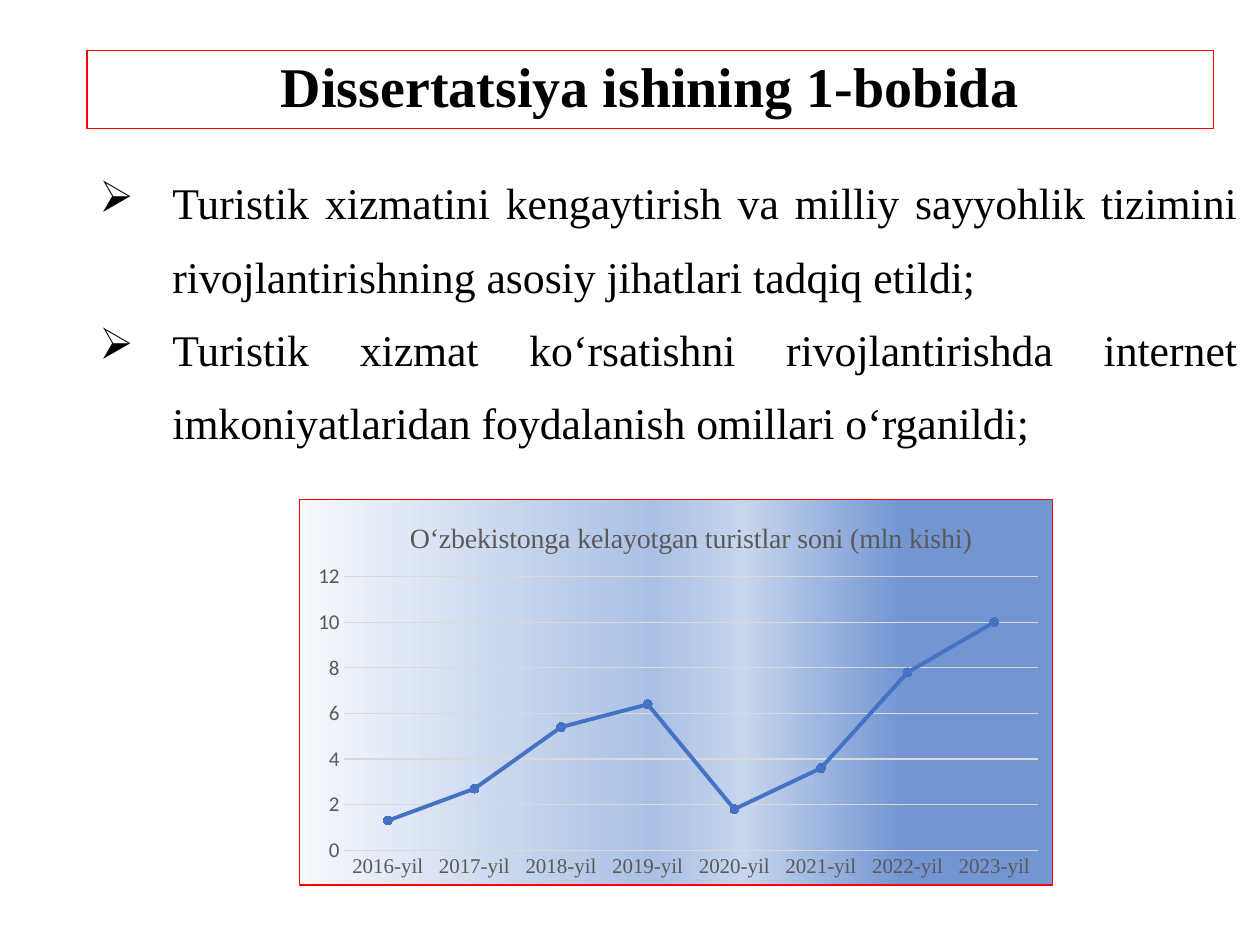
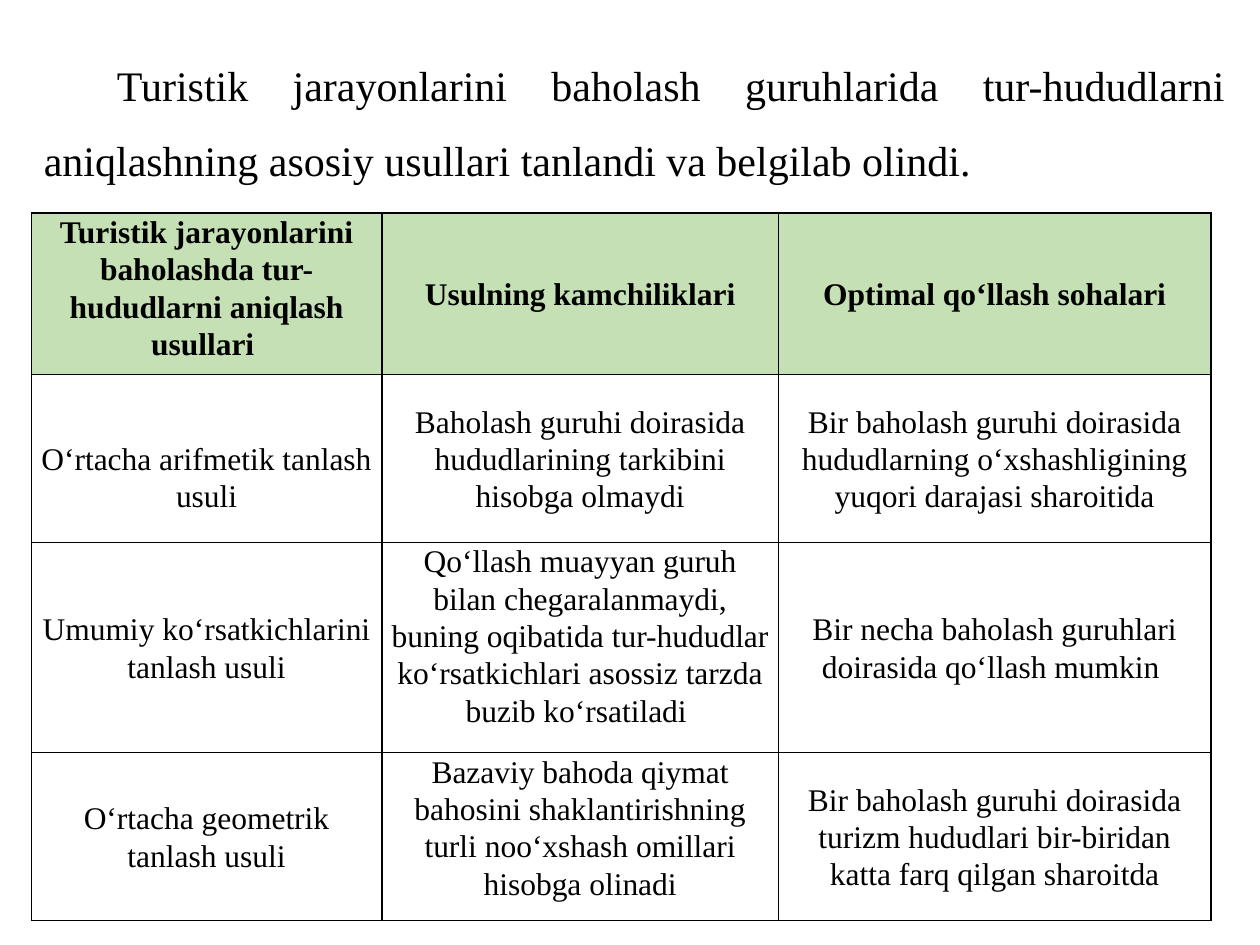
from dataclasses import dataclass

import pptx
import pptx.chart.data
import pptx.dml.color
import pptx.enum.chart
import pptx.enum.text
import pptx.oxml
import pptx.oxml.ns
import pptx.util
from pptx.util import Inches, Pt

SERIF, SANS = "Times New Roman", "Calibri"
COLORS = {
    "text": "000000", "frame": "FF0000", "header": "C5E0B4",
    "axis_text": "595959", "grid": "D9D9D9", "series": "4472C4",
}
CHART_GRADIENT = [(0, "F6F8FC"), (47, "ABC0E4"), (59, "C7D5ED"), (80, "7396D3"), (98, "7194D2")]
ALIGN = pptx.enum.text.PP_ALIGN
ANCHOR = pptx.enum.text.MSO_ANCHOR
NS = pptx.oxml.ns.nsdecls("a")

TITLE = "Dissertatsiya ishining 1-bobida"
FINDINGS = [
    "Turistik xizmatini kengaytirish va milliy sayyohlik tizimini rivojlantirishning "
    "asosiy jihatlari tadqiq etildi;",
    "Turistik xizmat ko‘rsatishni rivojlantirishda intеrnеt imkoniyatlaridan "
    "foydalanish omillari o‘rganildi;",
]
CHART_TITLE = "O‘zbekistonga kelayotgan turistlar soni (mln kishi)"
TOURISTS = [1.3, 2.7, 5.4, 6.4, 1.8, 3.6, 7.8, 10]
FIRST_YEAR = 2016
INTRO = ("Turistik jarayonlarini baholash guruhlarida tur-hududlarni aniqlashning asosiy "
         "usullari tanlandi va belgilab olindi.")


@dataclass
class Box:
    left: float
    top: float
    width: float
    height: float

    def emu(self) -> list[int]:
        return [Inches(v) for v in (self.left, self.top, self.width, self.height)]


@dataclass
class TextStyle:
    size: float
    align: ALIGN = ALIGN.JUSTIFY
    spacing: float = 1.0
    bold: bool = False
    before: float = 0
    margin: float = 0
    indent: float = 0
    bullet: str = ""


@dataclass
class Cell:
    text: str
    top: bool = False
    margin_top: float = 0


TITLE_STYLE = TextStyle(32, ALIGN.CENTER, 0.9, bold=True)
FINDING_STYLE = TextStyle(25, spacing=1.4, margin=0.58, indent=-0.58, bullet="➢")
INTRO_STYLE = TextStyle(24, spacing=1.5, before=10, indent=0.58)
CELL_STYLE = TextStyle(18, ALIGN.CENTER, 1.07)
HEADER_STYLE = TextStyle(18, ALIGN.CENTER, 1.07, bold=True)

COLUMN_WIDTHS = [2.78, 3.15, 3.43]
ROW_HEIGHTS = [1.25, 1.33, 1.67, 1.33]
METHODS = [
    [Cell("Turistik jarayonlarini baholashda tur-hududlarni aniqlash usullari ", top=True),
     Cell("Usulning kamchiliklari"),
     Cell("Optimal qo‘llash sohalari")],
    [Cell("O‘rtacha arifmеtik tanlash usuli", margin_top=0.3),
     Cell("Baholash guruhi doirasida hududlarining tarkibini hisobga olmaydi"),
     Cell("Bir baholash guruhi doirasida hududlarning o‘xshashligining yuqori darajasi sharoitida")],
    [Cell("Umumiy ko‘rsatkichlarini tanlash usuli"),
     Cell("Qo‘llash muayyan guruh bilan chеgaralanmaydi, buning oqibatida tur-hududlar "
          "ko‘rsatkichlari asossiz tarzda buzib ko‘rsatiladi ", top=True),
     Cell("Bir nеcha baholash guruhlari doirasida qo‘llash mumkin ")],
    [Cell("O‘rtacha gеomеtrik tanlash usuli"),
     Cell("Bazaviy bahoda qiymat bahosini shaklantirishning turli noo‘xshash omillari "
          "hisobga olinadi", top=True),
     Cell("Bir baholash guruhi doirasida turizm hududlari bir-biridan katta farq qilgan sharoitda")],
]


def rgb(name: str) -> pptx.dml.color.RGBColor:
    return pptx.dml.color.RGBColor.from_string(COLORS[name])


def set_font(font, size: float, color: str = "text", name: str = SERIF, bold: bool = False) -> None:
    font.size, font.name, font.bold = Pt(size), name, bold
    font.color.rgb = rgb(color)


def set_line(line, color: str, width: float = 0.75) -> None:
    line.color.rgb = rgb(color)
    line.width = Pt(width)


def write(tf, texts: list[str], style: TextStyle) -> None:
    tf.word_wrap = True
    for i, text in enumerate(texts):
        p = tf.add_paragraph() if i else tf.paragraphs[0]
        p.text = text
        p.alignment, p.line_spacing = style.align, style.spacing
        p.space_before = Pt(style.before)
        set_font(p.font, style.size, bold=style.bold)
        ppr = p._p.get_or_add_pPr()
        ppr.set("marL", str(Inches(style.margin)))
        ppr.set("indent", str(Inches(style.indent)))
        if style.bullet:
            bullet = pptx.oxml.parse_xml(f'<a:buChar {NS} char="{style.bullet}"/>')
            ppr.find(pptx.oxml.ns.qn("a:defRPr")).addprevious(bullet)


def add_text(slide, box: Box, texts: list[str], style: TextStyle):
    sp = slide.shapes.add_textbox(*box.emu())
    write(sp.text_frame, texts, style)
    return sp


def place(element, x: float, y: float, size: tuple[float, float] | None = None) -> None:
    """Fix a chart part at fractions of the chart area; a size marks the inner plot."""
    parts = [("xMode", "edge"), ("yMode", "edge"), ("x", x), ("y", y)]
    if size:
        parts = [("layoutTarget", "inner"), *parts, ("w", size[0]), ("h", size[1])]
    body = "".join(f'<c:{tag} val="{val}"/>' for tag, val in parts)
    layout = pptx.oxml.parse_xml(
        f'<c:layout {pptx.oxml.ns.nsdecls("c")}><c:manualLayout>{body}</c:manualLayout></c:layout>')
    for old in element.findall(pptx.oxml.ns.qn("c:layout")):
        element.remove(old)
    text = element.find(pptx.oxml.ns.qn("c:tx"))
    if text is None:
        element.insert(0, layout)
    else:
        text.addnext(layout)


def fill_chart_area(chart) -> None:
    stops = "".join(f'<a:gs pos="{pos * 1000}"><a:srgbClr val="{color}"/></a:gs>'
                    for pos, color in CHART_GRADIENT)
    area = pptx.oxml.parse_xml(
        f'<c:spPr {pptx.oxml.ns.nsdecls("c", "a")}>'
        f'<a:gradFill><a:gsLst>{stops}</a:gsLst><a:lin ang="0" scaled="1"/></a:gradFill>'
        f'<a:ln w="{Pt(0.75)}"><a:solidFill><a:srgbClr val="{COLORS["frame"]}"/></a:solidFill></a:ln>'
        '</c:spPr>')
    chart._chartSpace.find(pptx.oxml.ns.qn("c:chart")).addnext(area)


def add_tourist_chart(slide, box: Box) -> None:
    data = pptx.chart.data.CategoryChartData()
    data.categories = [f"{FIRST_YEAR + i}-yil" for i in range(len(TOURISTS))]
    data.add_series("Series 1", TOURISTS)
    kind = pptx.enum.chart.XL_CHART_TYPE.LINE_MARKERS
    chart = slide.shapes.add_chart(kind, *box.emu(), data).chart
    set_font(chart.font, 10, name=SANS)
    chart.has_legend = False
    fill_chart_area(chart)

    chart.has_title = True
    p = chart.chart_title.text_frame.paragraphs[0]
    p.text = CHART_TITLE
    set_font(p.font, 16, "axis_text")
    place(chart.chart_title._element, 0.14, 0.04)
    chart.chart_title.include_in_layout = False

    years, millions = chart.category_axis, chart.value_axis
    for axis, font in ((years, SERIF), (millions, SANS)):
        axis.major_tick_mark = axis.minor_tick_mark = pptx.enum.chart.XL_TICK_MARK.NONE
        set_font(axis.tick_labels.font, 12, "axis_text", font)
    set_line(years.format.line, "grid")
    millions.format.line.fill.background()
    millions.minimum_scale, millions.maximum_scale, millions.major_unit = 0, 12, 2
    set_line(millions.major_gridlines.format.line, "grid")

    plot = chart.plots[0]
    plot.vary_by_categories = False
    series = plot.series[0]
    series.smooth = False
    set_line(series.format.line, "series", 2.25)
    marker = series.marker
    marker.style, marker.size = pptx.enum.chart.XL_MARKER_STYLE.CIRCLE, 5
    marker.format.fill.solid()
    marker.format.fill.fore_color.rgb = rgb("series")
    set_line(marker.format.line, "series")
    place(chart._chartSpace.chart.plotArea, 0.06, 0.2, (0.92, 0.71))


def add_borders(cell) -> None:
    tcpr = cell._tc.get_or_add_tcPr()
    for i, side in enumerate("LRTB"):
        tcpr.insert(i, pptx.oxml.parse_xml(
            f'<a:ln{side} {NS} w="{Pt(1)}"><a:solidFill>'
            f'<a:srgbClr val="{COLORS["text"]}"/></a:solidFill></a:ln{side}>'))


def add_method_table(slide, left: float, top: float) -> None:
    box = Box(left, top, sum(COLUMN_WIDTHS), sum(ROW_HEIGHTS))
    table = slide.shapes.add_table(len(METHODS), len(COLUMN_WIDTHS), *box.emu()).table
    table.first_row = table.horz_banding = False
    for column, width in zip(table.columns, COLUMN_WIDTHS):
        column.width = Inches(width)
    for r, (row, height) in enumerate(zip(METHODS, ROW_HEIGHTS)):
        table.rows[r].height = Inches(height)
        for c, content in enumerate(row):
            cell = table.cell(r, c)
            cell.margin_left = cell.margin_right = Inches(0.07)
            cell.margin_top, cell.margin_bottom = Inches(content.margin_top), 0
            cell.vertical_anchor = ANCHOR.TOP if content.top else ANCHOR.MIDDLE
            write(cell.text_frame, [content.text], CELL_STYLE if r else HEADER_STYLE)
            if r:
                cell.fill.background()
            else:
                cell.fill.solid()
                cell.fill.fore_color.rgb = rgb("header")
            add_borders(cell)


def build_findings_slide(slide) -> None:
    title = add_text(slide, Box(0.69, 0.4, 8.94, 0.62), [TITLE], TITLE_STYLE)
    title.text_frame.vertical_anchor = ANCHOR.MIDDLE
    set_line(title.line, "frame")
    add_tourist_chart(slide, Box(2.37, 3.96, 5.99, 3.07))
    add_text(slide, Box(0.69, 1.18, 9.23, 2.57), FINDINGS, FINDING_STYLE)


def build_methods_slide(slide) -> None:
    add_text(slide, Box(0.25, 0.22, 9.57, 7.07), [INTRO], INTRO_STYLE)
    add_method_table(slide, 0.25, 1.69)


def main() -> None:
    prs = pptx.Presentation()
    prs.slide_width, prs.slide_height = Inches(10), Inches(7.5)
    for build in (build_findings_slide, build_methods_slide):
        build(prs.slides.add_slide(prs.slide_layouts[6]))
    prs.save("out.pptx")


if __name__ == "__main__":
    main()
